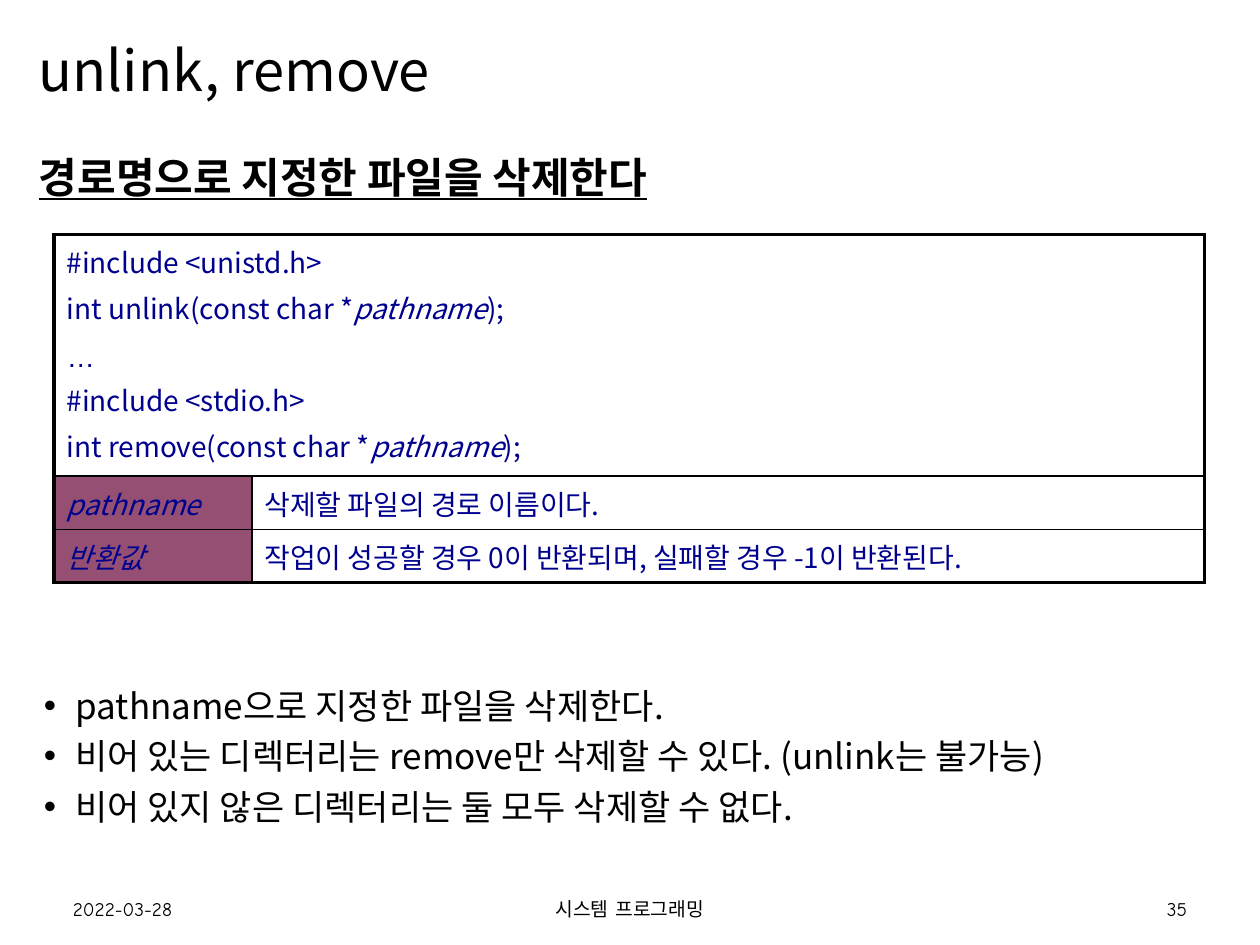
from lxml.etree import SubElement
from pptx import Presentation
from pptx.dml.color import RGBColor
from pptx.enum.text import MSO_ANCHOR, PP_ALIGN
from pptx.oxml.ns import qn
from pptx.util import Inches, Pt

SANS = "Noto Sans CJK KR"
CODE = {"size": Pt(16), "name": SANS, "color": "00008E"}
CODE_LAYOUT = {"space_before": Pt(3.2), "line_spacing": Pt(23.2)}
ITALIC = {"italic": True}
PATHNAME = ("pathname", ITALIC)
SIGNATURES = [
    [("#include <unistd.h>", {})],
    [("int unlink(const char *", {}), PATHNAME, (");", {})],
    [("…", {"name": "Arial"})],
    [("#include <stdio.h>", {})],
    [("int remove(const char *", {}), PATHNAME, (");", {})],
]
DESCRIPTIONS = [
    ("pathname", "삭제할 파일의 경로 이름이다."),
    ("반환값", "작업이 성공할 경우 0이 반환되며, 실패할 경우 -1이 반환된다."),
]
REMARKS = [
    "pathname으로 지정한 파일을 삭제한다.",
    "비어 있는 디렉터리는 remove만 삭제할 수 있다. (unlink는 불가능)",
    "비어 있지 않은 디렉터리는 둘 모두 삭제할 수 없다.",
]
FOOTER = [
    ("2022-03-28", 0.48, 2.25, PP_ALIGN.LEFT),
    ("시스템 프로그래밍", 3.31, 3.38, PP_ALIGN.CENTER),
    ("35", 7.27, 2.25, PP_ALIGN.RIGHT),
]


def color(value):
    return RGBColor.from_string(value)


def add_run(paragraph, text, style):
    run = paragraph.add_run()
    run.text = text
    for key, value in style.items():
        if key == "color":
            run.font.color.rgb = color(value)
        else:
            setattr(run.font, key, value)
    east_asian = SubElement(run.font._element, qn("a:ea"))
    east_asian.set("typeface", style["name"])


def write(frame, lines, style, layout):
    for index, line in enumerate(lines):
        paragraph = frame.add_paragraph() if index else frame.paragraphs[0]
        for key, value in layout.items():
            setattr(paragraph, key, value)
        for text, changes in line:
            add_run(paragraph, text, {**style, **changes})


def add_text(slide, box, lines, style, layout, anchor=MSO_ANCHOR.TOP):
    frame = slide.shapes.add_textbox(*map(Inches, box)).text_frame
    frame.word_wrap = True
    frame.vertical_anchor = anchor
    write(frame, [[(line, {})] for line in lines], style, layout)
    return frame


def add_bullets(frame):
    for paragraph in frame.paragraphs:
        properties = paragraph._p.get_or_add_pPr()
        properties.set("marL", str(Inches(0.29)))
        properties.set("indent", str(Inches(-0.25)))
        SubElement(properties, qn("a:buFont")).set("typeface", "Arial")
        SubElement(properties, qn("a:buChar")).set("char", "•")


def set_borders(cell, widths):
    properties = cell._tc.get_or_add_tcPr()
    for side, width in zip("LRTB", widths):
        line = SubElement(properties, qn(f"a:ln{side}"), w=str(Pt(width)))
        fill = SubElement(line, qn("a:solidFill"))
        SubElement(fill, qn("a:srgbClr"), val="000000")


def fill_cell(cell, lines, shade=None):
    write(cell.text_frame, lines, CODE, CODE_LAYOUT)
    if shade:
        cell.fill.solid()
        cell.fill.fore_color.rgb = color(shade)
    else:
        cell.fill.background()


def add_reference_table(slide):
    box = map(Inches, (0.43, 1.86, 9.13, 2.76))
    table = slide.shapes.add_table(3, 2, *box).table
    table.first_row = table.horz_banding = False
    for column, width in zip(table.columns, (1.57, 7.56)):
        column.width = Inches(width)
    for row, height in zip(table.rows, (1.92, 0.42, 0.42)):
        row.height = Inches(height)
    table.cell(0, 0).merge(table.cell(0, 1))
    outer, inner = 2.25, 1
    for row in range(3):
        for column in range(2):
            edges = (column == 0, column == 1 or row == 0, row == 0, row == 2)
            set_borders(table.cell(row, column), [outer if edge else inner for edge in edges])
    fill_cell(table.cell(0, 0), SIGNATURES)
    for row, (term, meaning) in enumerate(DESCRIPTIONS, 1):
        fill_cell(table.cell(row, 0), [[(term, ITALIC)]], "954F72")
        fill_cell(table.cell(row, 1), [[(meaning, {})]])


def main():
    deck = Presentation()
    deck.slide_width, deck.slide_height = Inches(10), Inches(7.5)
    slide = deck.slides.add_slide(deck.slide_layouts[6])
    body = {"name": SANS, "color": "000000"}
    add_text(slide, (0.21, 0.1, 9.58, 0.97), ["unlink, remove"],
             {**body, "size": Pt(32)}, {"line_spacing": 0.9}, MSO_ANCHOR.MIDDLE)
    add_text(slide, (0.21, 1.15, 9.58, 0.6), ["경로명으로 지정한 파일을 삭제한다"],
             {**body, "size": Pt(24), "bold": True, "underline": True}, {})
    add_reference_table(slide)
    remarks = add_text(slide, (0.21, 5.38, 9.58, 1.62), REMARKS,
                       {**body, "size": Pt(20)}, {"space_before": Pt(5)})
    add_bullets(remarks)
    for text, left, width, alignment in FOOTER:
        add_text(slide, (left, 7.07, width, 0.28), [text],
                 {**body, "name": "Comic Neue", "size": Pt(11)},
                 {"alignment": alignment}, MSO_ANCHOR.MIDDLE)
    deck.save("out.pptx")


if __name__ == "__main__":
    main()
